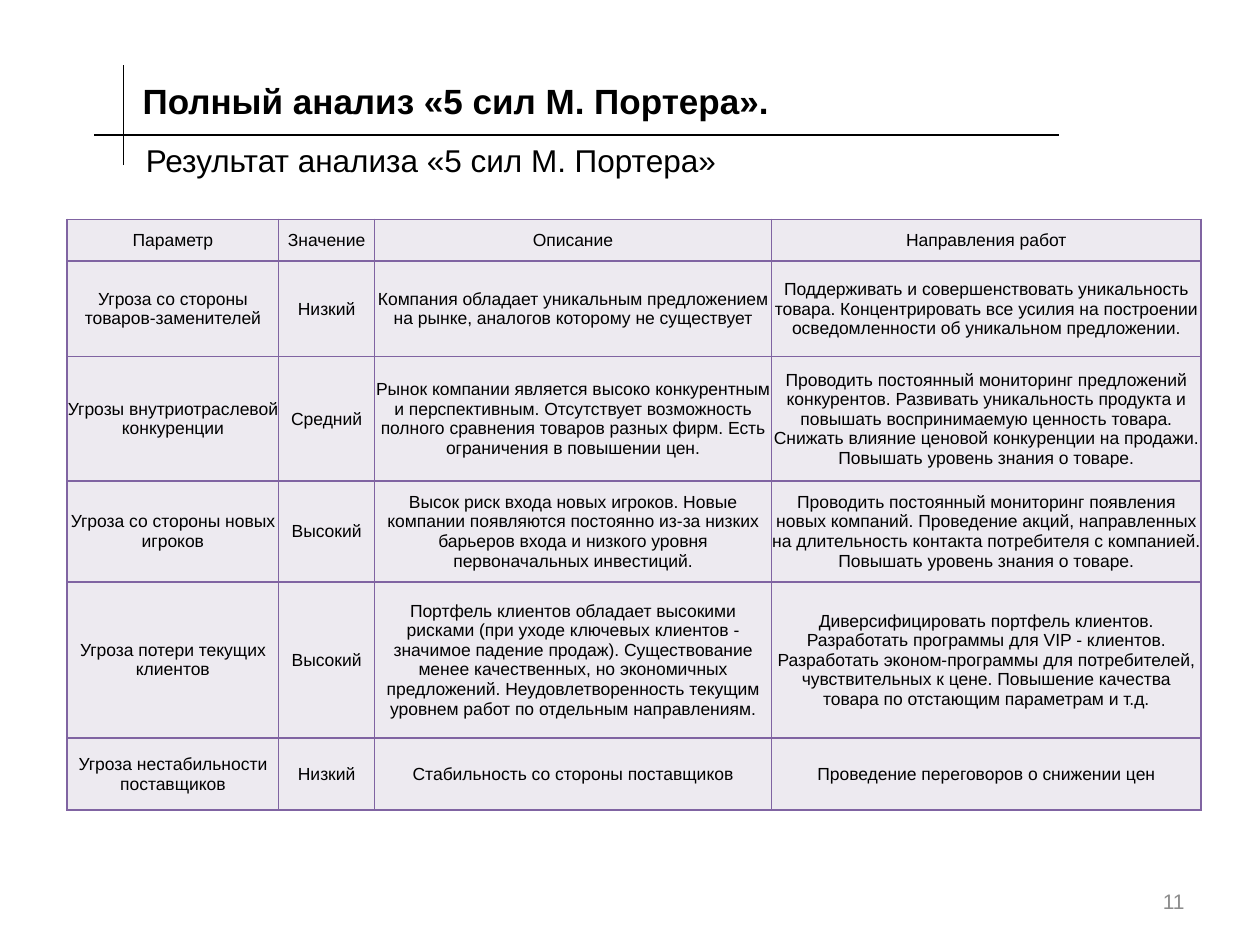
from lxml import etree
from pptx import Presentation
from pptx.dml.color import RGBColor
from pptx.enum.shapes import MSO_CONNECTOR
from pptx.enum.text import MSO_ANCHOR, MSO_AUTO_SIZE, PP_ALIGN
from pptx.oxml.ns import qn
from pptx.util import Cm, Pt

LEFT, CENTER, RIGHT = PP_ALIGN.LEFT, PP_ALIGN.CENTER, PP_ALIGN.RIGHT
TOP, MIDDLE = MSO_ANCHOR.TOP, MSO_ANCHOR.MIDDLE
STRAIGHT = MSO_CONNECTOR.STRAIGHT

FONT = "Arial"
COLORS = {"text": "000000", "number": "8C8C8C", "cell": "EDEAF0", "border": "8064A2"}

TITLE = "Полный анализ «5 сил М. Портера»."
SUBTITLE = "Результат анализа «5 сил М. Портера»"
PAGE_NUMBER = "11"

FORCES = [
    ("Параметр", "Значение", "Описание", "Направления работ"),
    ("Угроза со стороны товаров-заменителей", "Низкий",
     "Компания обладает уникальным предложением на рынке, аналогов которому не существует",
     "Поддерживать и совершенствовать уникальность товара. Концентрировать все усилия "
     "на построении осведомленности об уникальном предложении."),
    ("Угрозы внутриотраслевой конкуренции", "Средний",
     "Рынок компании является высоко конкурентным и перспективным. Отсутствует возможность "
     "полного сравнения товаров разных фирм. Есть ограничения в повышении цен.",
     "Проводить постоянный мониторинг предложений конкурентов. Развивать уникальность "
     "продукта и повышать воспринимаемую ценность товара. Снижать влияние ценовой "
     "конкуренции на продажи. Повышать уровень знания о товаре."),
    ("Угроза со стороны новых игроков", "Высокий",
     "Высок риск входа новых игроков. Новые компании появляются постоянно из-за низких "
     "барьеров входа и низкого уровня первоначальных инвестиций.",
     "Проводить постоянный мониторинг появления новых компаний. Проведение акций, "
     "направленных на длительность контакта потребителя с компанией. "
     "Повышать уровень знания о товаре."),
    ("Угроза потери текущих клиентов", "Высокий",
     "Портфель клиентов обладает высокими рисками (при уходе ключевых клиентов - значимое "
     "падение продаж). Существование менее качественных, но экономичных предложений. "
     "Неудовлетворенность текущим уровнем работ по отдельным направлениям.",
     "Диверсифицировать портфель клиентов. Разработать программы для VIP - клиентов. "
     "Разработать эконом-программы для потребителей, чувствительных к цене. "
     "Повышение качества товара по отстающим параметрам и т.д."),
    ("Угроза нестабильности поставщиков", "Низкий",
     "Стабильность со стороны поставщиков",
     "Проведение переговоров о снижении цен"),
]
COLUMN_WIDTHS = [4.27, 1.93, 8, 8.66]
ROW_HEIGHTS = [0.84, 1.93, 2.51, 2.03, 3.15, 1.45]
RULES = [(1.9, 2.72, 21.34, 2.72), (2.49, 3.33, 2.49, 1.32)]


def write(frame, text, size, align=LEFT, color="text", bold=False):
    paragraph = frame.paragraphs[0]
    paragraph.alignment = align
    run = paragraph.add_run()
    run.text = text
    run.font.name = FONT
    run.font.size = Pt(size)
    run.font.bold = bold
    run.font.color.rgb = RGBColor.from_string(COLORS[color])


def add_label(slide, box, text, size, anchor, **style):
    label = slide.shapes.add_textbox(*map(Cm, box))
    label.text_frame.word_wrap = True
    label.text_frame.vertical_anchor = anchor
    write(label.text_frame, text, size, **style)
    return label


def add_title(slide):
    title = slide.shapes.title
    title.left, title.top, title.width, title.height = map(Cm, (2.62, 1.32, 21.46, 1.4))
    title.text_frame.vertical_anchor = MIDDLE
    title.text_frame.auto_size = MSO_AUTO_SIZE.NONE
    write(title.text_frame, TITLE, 20, bold=True)


def add_rule(slide, ends):
    rule = slide.shapes.add_connector(STRAIGHT, *map(Cm, ends))
    rule.line.color.rgb = RGBColor.from_string(COLORS["text"])
    rule.line.width = Pt(0.75)
    etree.SubElement(rule._element.spPr, qn("a:effectLst"))


def set_borders(cell):
    """Outline a cell; the border elements must come before its fill."""
    properties = cell._tc.get_or_add_tcPr()
    for side in ("a:lnL", "a:lnR", "a:lnT", "a:lnB"):
        border = etree.SubElement(properties, qn(side), w=str(Pt(1)))
        fill = etree.SubElement(border, qn("a:solidFill"))
        etree.SubElement(fill, qn("a:srgbClr"), val=COLORS["border"])


def add_forces_table(slide):
    table = slide.shapes.add_table(
        len(FORCES), len(COLUMN_WIDTHS), Cm(1.35), Cm(4.42),
        Cm(sum(COLUMN_WIDTHS)), Cm(sum(ROW_HEIGHTS))).table
    table.horz_banding = False
    for column, width in zip(table.columns, COLUMN_WIDTHS):
        column.width = Cm(width)
    for row, height, texts in zip(table.rows, ROW_HEIGHTS, FORCES):
        row.height = Cm(height)
        for cell, text in zip(row.cells, texts):
            cell.margin_left = cell.margin_right = cell.margin_top = Cm(0.01)
            cell.margin_bottom = 0
            cell.vertical_anchor = MIDDLE
            set_borders(cell)
            cell.fill.solid()
            cell.fill.fore_color.rgb = RGBColor.from_string(COLORS["cell"])
            write(cell.text_frame, text, 10, CENTER)


def main():
    presentation = Presentation()
    presentation.slide_width, presentation.slide_height = Cm(25.4), Cm(19.05)
    slide = presentation.slides.add_slide(presentation.slide_layouts[5])
    add_label(slide, (18.21, 17.65, 5.92, 1.02), PAGE_NUMBER, 12, MIDDLE,
              align=RIGHT, color="number")
    for ends in RULES:
        add_rule(slide, ends)
    add_title(slide)
    subtitle = add_label(slide, (2.69, 2.72, 12.7, 1.02), SUBTITLE, 18, TOP)
    subtitle.text_frame.auto_size = MSO_AUTO_SIZE.SHAPE_TO_FIT_TEXT
    add_forces_table(slide)
    presentation.save("out.pptx")


if __name__ == "__main__":
    main()
